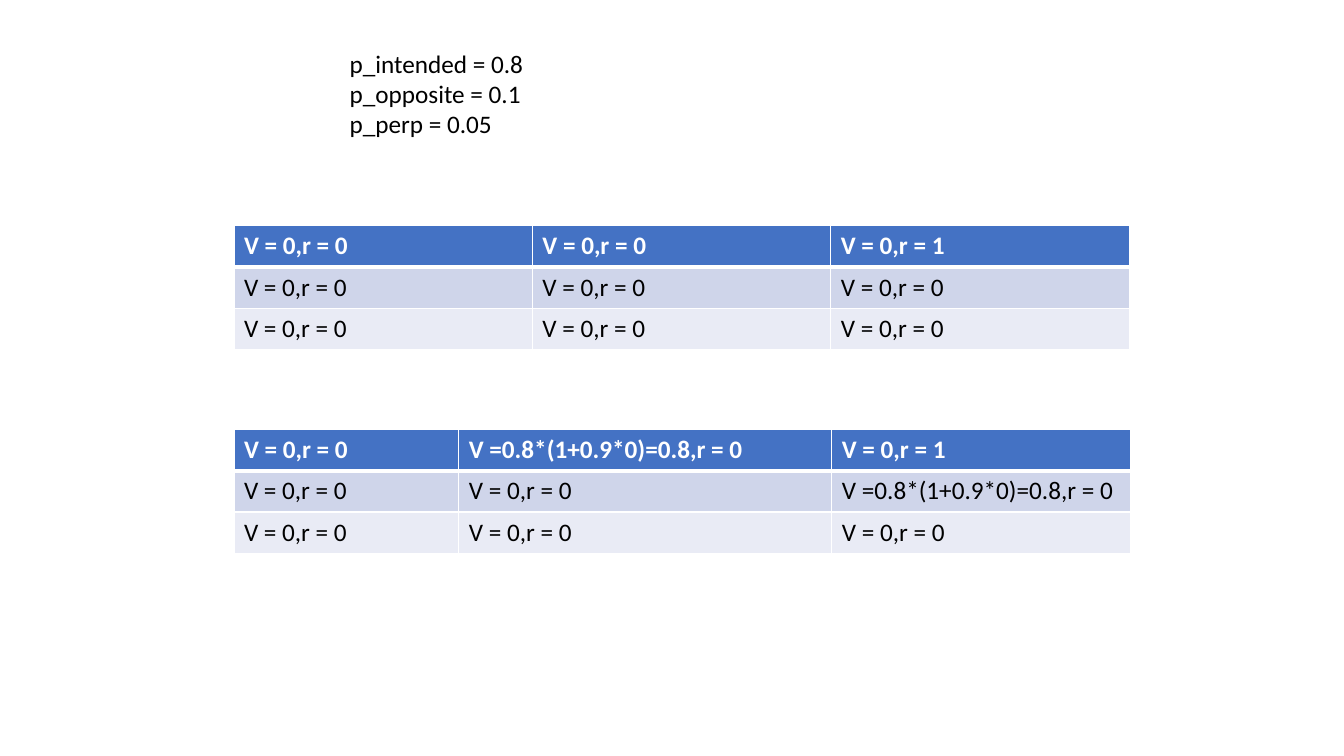
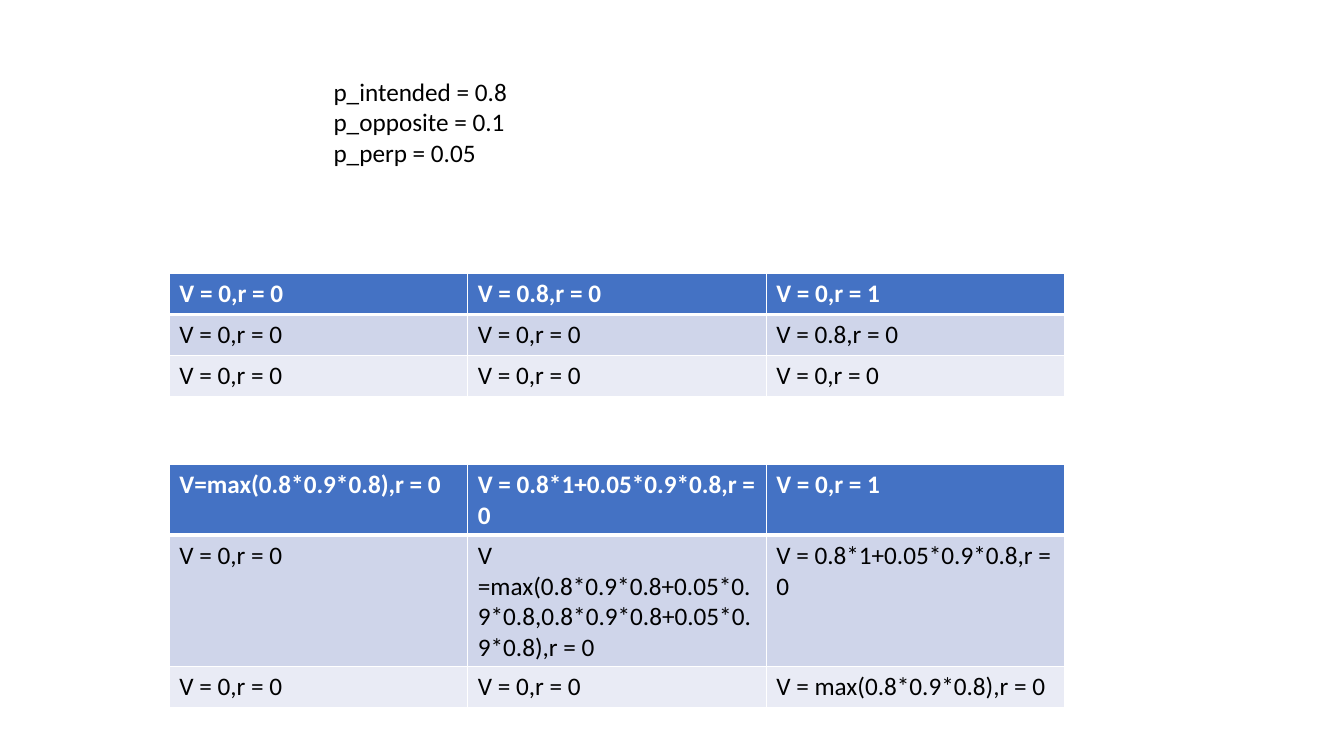
"""Build two slides of value-iteration grids with python-pptx."""
from lxml import etree
from pptx import Presentation
from pptx.dml.color import RGBColor
from pptx.enum.text import MSO_AUTO_SIZE
from pptx.oxml.ns import qn
from pptx.util import Inches, Pt

FONT, SIZE = "Calibri", 18
WHITE, BLACK = "FFFFFF", "000000"
ROW_FILLS = ["4472C4", "CFD5EA", "E9EBF5"]
ROW_H = 0.41
EVEN = [2.96, 2.96, 2.96]

PARAMS = ["p_intended = 0.8", "p_opposite = 0.1", "p_perp = 0.05"]
ZERO = "V = 0,r = 0"
GOAL = "V = 0,r = 1"
FIRST = "V =0.8*(1+0.9*0)=0.8,r = 0"
KNOWN = "V = 0.8,r = 0"
SECOND = "V = 0.8*1+0.05*0.9*0.8,r = 0"
CENTER = "V =max(0.8*0.9*0.8+0.05*0.9*0.8,0.8*0.9*0.8+0.05*0.9*0.8),r = 0"

SLIDES = [
    {
        "params": (3.37, 0.43, 4.9),
        "grids": [
            (2.32, 2.24, EVEN, [[ZERO, ZERO, GOAL], [ZERO] * 3, [ZERO] * 3]),
            (2.32, 4.26, [2.23, 3.7, 2.96],
             [[ZERO, FIRST, GOAL], [ZERO, ZERO, FIRST], [ZERO] * 3]),
        ],
    },
    {
        "params": (3.21, 0.71, 6.67),
        "grids": [
            (1.68, 2.71, EVEN,
             [[ZERO, KNOWN, GOAL], [ZERO, ZERO, KNOWN], [ZERO] * 3]),
            (1.68, 4.61, EVEN,
             [["V=max(0.8*0.9*0.8),r = 0", SECOND, GOAL],
              [ZERO, CENTER, SECOND],
              [ZERO, ZERO, "V = max(0.8*0.9*0.8),r = 0"]]),
        ],
    },
]


def rgb(value):
    return RGBColor.from_string(value)


def style(p, color, bold=False):
    p.font.name = FONT
    p.font.size = Pt(SIZE)
    p.font.bold = bold
    p.font.color.rgb = rgb(color)


def add_borders(cell, row):
    tcPr = cell._tc.get_or_add_tcPr()
    widths = {"lnL": 1, "lnR": 1, "lnT": 3 if row == 1 else 1,
              "lnB": 3 if row == 0 else 1}
    for tag, width in widths.items():
        ln = etree.SubElement(tcPr, qn(f"a:{tag}"), w=str(Pt(width)))
        fill = etree.SubElement(ln, qn("a:solidFill"))
        etree.SubElement(fill, qn("a:srgbClr"), val=WHITE)


def add_grid(s, left, top, widths, rows):
    frame = s.shapes.add_table(len(rows), len(widths), Inches(left), Inches(top),
                               Inches(sum(widths)), Inches(ROW_H * len(rows)))
    table = frame.table
    for column, width in zip(table.columns, widths):
        column.width = Inches(width)
    for i, row in enumerate(rows):
        for j, text in enumerate(row):
            cell = table.cell(i, j)
            cell.text = text
            add_borders(cell, i)
            cell.fill.solid()
            cell.fill.fore_color.rgb = rgb(ROW_FILLS[i])
            style(cell.text_frame.paragraphs[0], BLACK if i else WHITE, bold=i == 0)


def add_params(s, left, top, width):
    sp = s.shapes.add_textbox(Inches(left), Inches(top), Inches(width), Inches(1.01))
    tf = sp.text_frame
    tf.word_wrap = True
    tf.auto_size = MSO_AUTO_SIZE.SHAPE_TO_FIT_TEXT
    tf.text = "\n".join(PARAMS)
    for p in tf.paragraphs:
        style(p, BLACK)


def main():
    prs = Presentation()
    prs.slide_width, prs.slide_height = Inches(13.33), Inches(7.5)
    for content in SLIDES:
        s = prs.slides.add_slide(prs.slide_layouts[6])
        add_params(s, *content["params"])
        for grid in content["grids"]:
            add_grid(s, *grid)
    prs.save("out.pptx")


if __name__ == "__main__":
    main()
